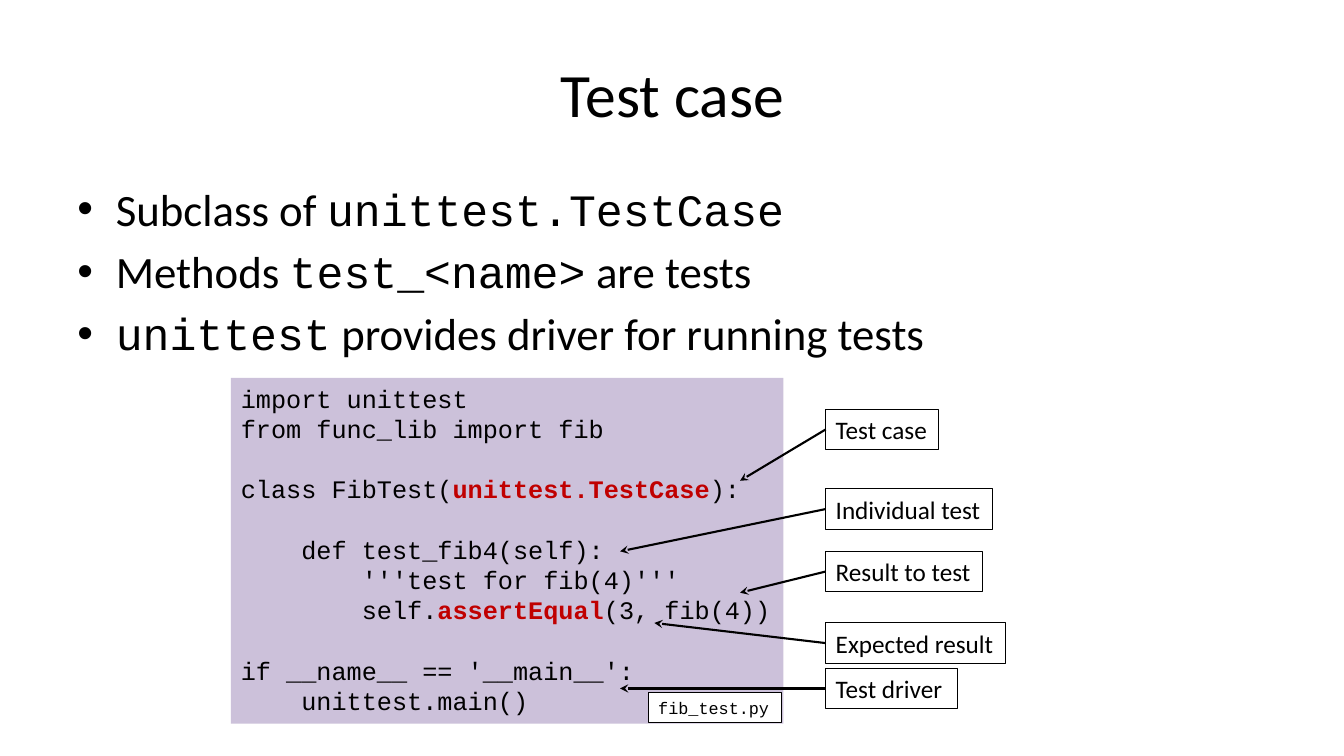
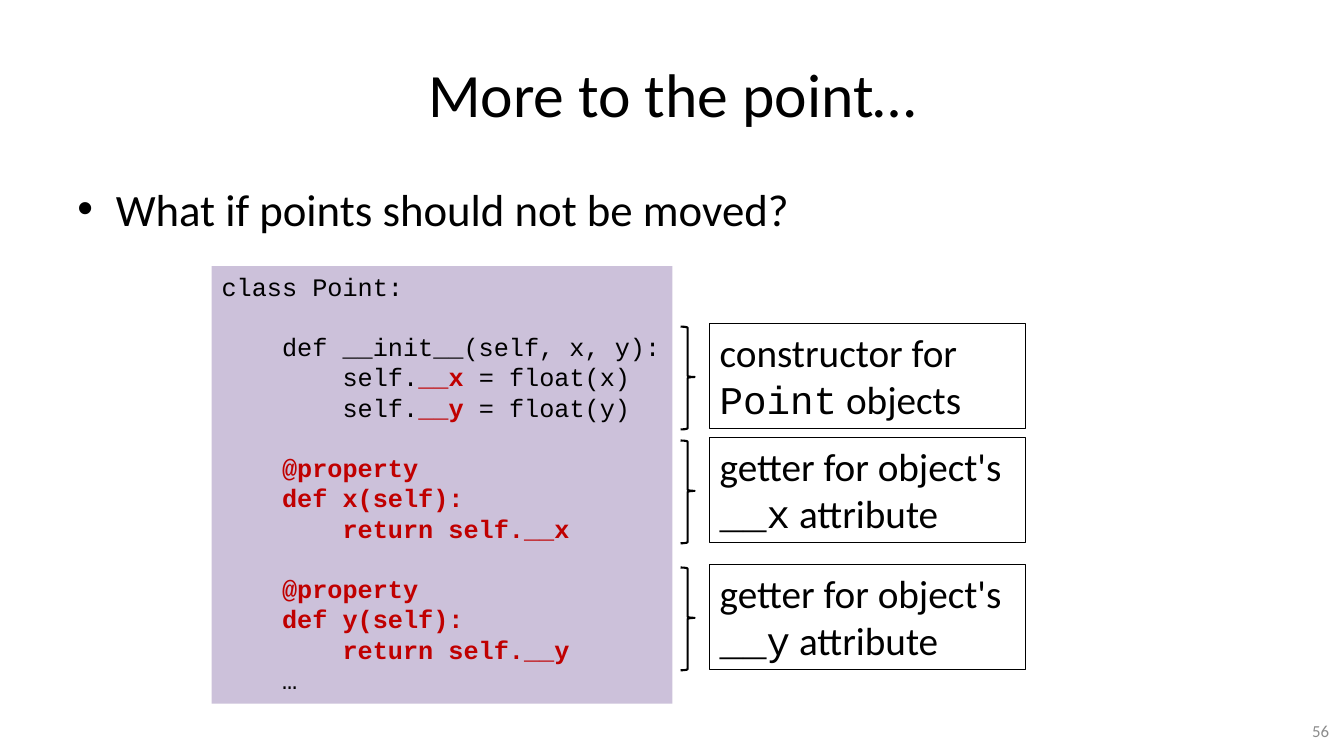
"""Build two slides about Python unit tests and read-only attributes."""
from lxml.etree import SubElement
from pptx import Presentation
from pptx.dml.color import RGBColor
from pptx.enum.shapes import MSO_CONNECTOR, MSO_SHAPE
from pptx.enum.text import MSO_ANCHOR, MSO_AUTO_SIZE, PP_ALIGN
from pptx.oxml.ns import qn
from pptx.util import Inches, Pt

BLACK = RGBColor(0x00, 0x00, 0x00)
WHITE = RGBColor(0xFF, 0xFF, 0xFF)
GRAY = RGBColor(0x8C, 0x8C, 0x8C)
RED = RGBColor(0xC0, 0x00, 0x00)
LILAC = RGBColor(0xCC, 0xC1, 0xDA)
PROSE_FONT = "Calibri"
CODE_FONT = "Courier New"
MARK = "`"

TEST_CODE = """import unittest
from func_lib import fib

class FibTest(`unittest.TestCase`):

    def test_fib4(self):
        '''test for fib(4)'''
        self.`assertEqual`(3, fib(4))

if __name__ == '__main__':
    unittest.main()"""

POINT_CODE = """class Point:

    def __init__(self, x, y):
        self.`__x` = float(x)
        self.`__y` = float(y)

    `@property`
    `def x(self):`
        `return self.__x`

    `@property`
    `def y(self):`
        `return self.__y`
    …"""

CALLOUTS = [
    ("Expected result", 6.18, 1.78, (6.49, 6.18)),
    ("Test case", 4.06, 1.12, (7.34, 4.77)),
    ("Individual test", 4.85, 1.65, (6.15, 5.47)),
    ("Result to test", 5.47, 1.55, (7.34, 5.88)),
    ("Test driver", 6.63, 1.31, (6.15, 6.83)),
]

BRACED_NOTES = [
    ("constructor for\n`Point` objects", 3.24),
    ("getter for object's\n`__x` attribute", 4.37),
    ("getter for object's\n`__y` attribute", 5.63),
]


def place(left, top, width, height):
    return Inches(left), Inches(top), Inches(width), Inches(height)


def format_font(font, name, size, color=BLACK, bold=False):
    font.name = name
    font.size = Pt(size)
    font.color.rgb = color
    font.bold = bold


def write_prose(paragraph, text, size):
    for index, piece in enumerate(text.split(MARK)):
        if piece:
            run = paragraph.add_run()
            run.text = piece
            format_font(run.font, CODE_FONT if index % 2 else PROSE_FONT, size)


def write_code(paragraph, text, size):
    for index, piece in enumerate(text.split(MARK)):
        if piece:
            run = paragraph.add_run()
            run.text = piece
            marked = index % 2 == 1
            format_font(run.font, CODE_FONT, size, RED if marked else BLACK, marked)
    if not text:
        end = SubElement(paragraph._p, qn("a:endParaRPr"), sz=str(size * 100))
        SubElement(end, qn("a:latin"), typeface=CODE_FONT)


def write_lines(text_frame, lines, write, size):
    for index, line in enumerate(lines):
        paragraph = text_frame.add_paragraph() if index else text_frame.paragraphs[0]
        paragraph.alignment = PP_ALIGN.LEFT
        write(paragraph, line, size)


def add_box(slide, position, text, write, size, fill=WHITE, wrap=False):
    shape = slide.shapes.add_shape(MSO_SHAPE.RECTANGLE, *place(*position))
    shape.shadow.inherit = False
    shape.fill.solid()
    shape.fill.fore_color.rgb = fill
    if fill == WHITE:
        shape.line.color.rgb = BLACK
        shape.line.width = Pt(0.75)
    else:
        shape.line.fill.background()
    text_frame = shape.text_frame
    text_frame.word_wrap = wrap
    text_frame.auto_size = MSO_AUTO_SIZE.SHAPE_TO_FIT_TEXT
    text_frame.vertical_anchor = MSO_ANCHOR.TOP
    write_lines(text_frame, text.split("\n"), write, size)
    return shape


def add_text(slide, position, text, size, alignment, color=BLACK):
    text_frame = slide.shapes.add_textbox(*place(*position)).text_frame
    text_frame.word_wrap = True
    text_frame.vertical_anchor = MSO_ANCHOR.MIDDLE
    paragraph = text_frame.paragraphs[0]
    paragraph.text = text
    paragraph.alignment = alignment
    format_font(paragraph.runs[0].font, PROSE_FONT, size, color)


def add_bullets(slide, lines):
    text_frame = slide.shapes.add_textbox(*place(0.67, 1.75, 12, 4.95)).text_frame
    text_frame.word_wrap = True
    write_lines(text_frame, lines, write_prose, 32)
    for index, paragraph in enumerate(text_frame.paragraphs):
        if index:
            paragraph.space_before = Pt(6)
        properties = paragraph._p.get_or_add_pPr()
        properties.set("marL", str(Inches(0.38)))
        properties.set("indent", str(Inches(-0.38)))
        SubElement(properties, qn("a:buFont"), typeface="Arial")
        SubElement(properties, qn("a:buChar"), char="•")


def add_callout(slide, text, top, width, target):
    label = add_box(slide, (8.19, top, width, 0.4), text, write_prose, 18)
    end_x, end_y = target
    arrow = slide.shapes.add_connector(
        MSO_CONNECTOR.STRAIGHT, *place(8.19, top + 0.2, end_x, end_y))
    arrow.begin_connect(label, 1)
    arrow.line.color.rgb = BLACK
    arrow.line.width = Pt(1.5)
    SubElement(arrow.line._get_or_add_ln(), qn("a:tailEnd"), type="stealth")
    SubElement(arrow._element.spPr, qn("a:effectLst"))


def add_braced_note(slide, text, top):
    brace = slide.shapes.add_shape(MSO_SHAPE.RIGHT_BRACE, *place(6.75, top, 0.14, 1.02))
    brace.shadow.inherit = False
    brace.adjustments[0] = 0.08
    brace.adjustments[1] = 0.49
    brace.fill.background()
    brace.line.color.rgb = BLACK
    brace.line.width = Pt(1.5)
    add_box(slide, (7.04, top - 0.03, 3.13, 1.04), text, write_prose, 28, wrap=True)


def add_slide(presentation, title, bullets):
    slide = presentation.slides.add_slide(presentation.slide_layouts[6])
    add_text(slide, (0.67, 0.3, 12, 1.25), title, 44, PP_ALIGN.CENTER)
    add_bullets(slide, bullets)
    return slide


def add_test_slide(presentation):
    slide = add_slide(presentation, "Test case", [
        "Subclass of `unittest.TestCase`",
        "Methods `test_<name>` are tests",
        "`unittest` provides driver for running tests",
    ])
    add_box(slide, (2.29, 3.75, 5.48, 3.43), TEST_CODE, write_code, 18, LILAC)
    add_box(slide, (6.43, 6.87, 1.32, 0.3), "fib_test.py", write_code, 12)
    for callout in CALLOUTS:
        add_callout(slide, *callout)


def add_point_slide(presentation):
    slide = add_slide(presentation, "More to the point…",
                      ["What if points should not be moved?"])
    add_text(slide, (10.17, 7.05, 3.11, 0.4), "56", 12, PP_ALIGN.RIGHT, GRAY)
    add_box(slide, (2.1, 2.64, 4.57, 4.34), POINT_CODE, write_code, 18, LILAC)
    for note in BRACED_NOTES:
        add_braced_note(slide, *note)


def main():
    presentation = Presentation()
    presentation.slide_width = Inches(13.33)
    presentation.slide_height = Inches(7.5)
    add_test_slide(presentation)
    add_point_slide(presentation)
    presentation.save("out.pptx")


if __name__ == "__main__":
    main()
